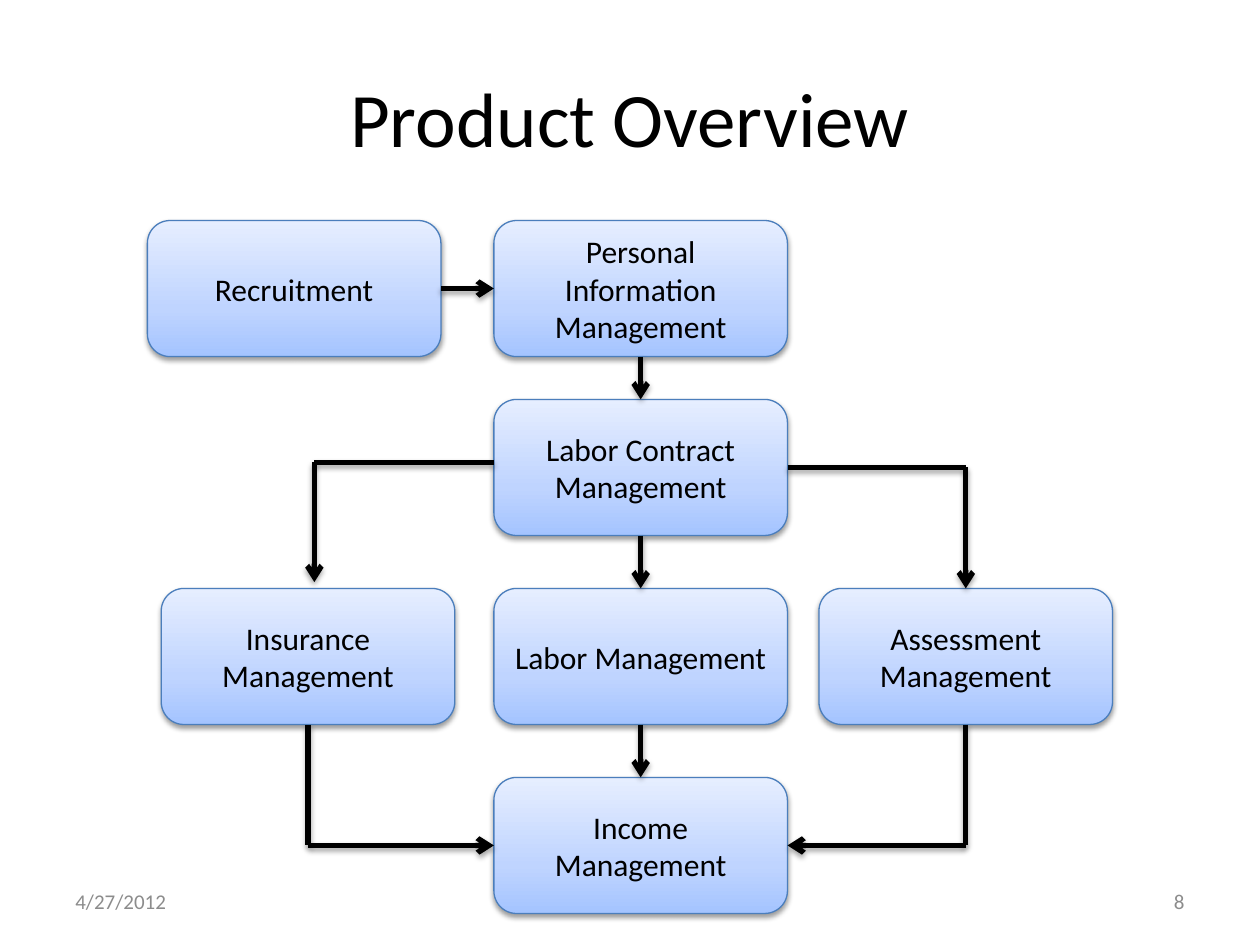
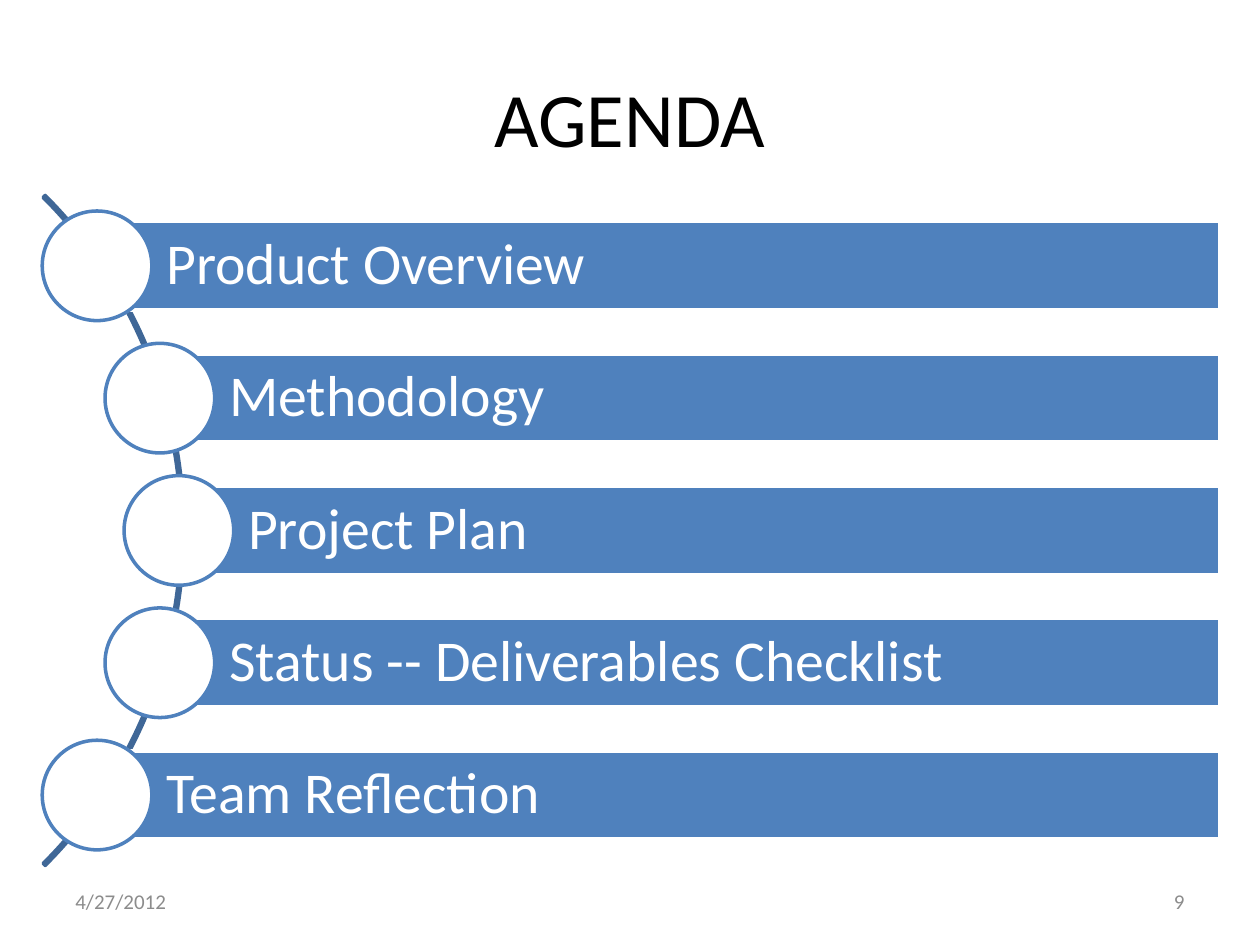
"""Builds the product overview flowchart and the agenda slide."""
from copy import deepcopy
from math import sqrt

from lxml.etree import SubElement
from pptx import Presentation
from pptx.dml.color import RGBColor
from pptx.enum.shapes import MSO_CONNECTOR, MSO_SHAPE as Preset
from pptx.enum.text import MSO_ANCHOR as Anchor, PP_ALIGN as Align
from pptx.oxml.ns import qn
from pptx.util import Inches, Pt

FONT = "Calibri"
COLORS = {
    "black": "000000", "white": "FFFFFF", "footer": "8C8C8C",
    "box_edge": "4B7EBC", "bar": "4F81BD", "arc": "3F6797",
}
BOX_GRADIENT = [(0, "A4C4FF"), (0.35, "BFD4FF"), (1, "E6EEFF")]

DATE = "4/27/2012"
OVERVIEW = {"title": "Product Overview", "number": "8"}
AGENDA = {"title": "AGENDA", "number": "9"}

STEP_SIZE = (2.33, 1.08)
STEPS = {
    "Recruitment": (1.17, 1.75),
    "Personal Information Management": (3.92, 1.75),
    "Labor Contract Management": (3.92, 3.17),
    "Insurance Management": (1.28, 4.67),
    "Labor Management": (3.92, 4.67),
    "Assessment Management": (6.5, 4.67),
    "Income Management": (3.92, 6.17),
}
FLOWS = [
    ("Recruitment", "right", "Personal Information Management", "left"),
    ("Personal Information Management", "bottom", "Labor Contract Management", "top"),
    ("Labor Contract Management", "bottom", "Labor Management", "top"),
    ("Labor Contract Management", "right", "Assessment Management", "top"),
    ("Labor Contract Management", "left", "Insurance Management", "top"),
    ("Labor Management", "bottom", "Income Management", "top"),
    ("Insurance Management", "bottom", "Income Management", "left"),
    ("Assessment Management", "bottom", "Income Management", "right"),
]
NUDGES = {
    ("Labor Contract Management", "left"): (0, -0.04),
    ("Insurance Management", "top"): (0.05, -0.05),
}
SIDES = {"left": (0, 0.5), "right": (1, 0.5), "top": (0.5, 0), "bottom": (0.5, 1)}

TOPICS = ["Product Overview", "Methodology", "Project Plan",
          "Status -- Deliverables Checklist", "Team Reflection"]
ARC_CENTER = (-2.3, 4.21)
ARC_RADIUS = 3.76
CIRCLE_TRACK = 3.72
CIRCLE = 0.87
TOPIC_PITCH = 1.05
BAR_HEIGHT = 0.7
BAR_RIGHT = 9.68


def rgb(name):
    return RGBColor.from_string(COLORS[name])


def write(frame, words, size, color, align=Align.LEFT):
    frame.word_wrap = True
    frame.vertical_anchor = Anchor.MIDDLE
    paragraph = frame.paragraphs[0]
    paragraph.alignment = align
    run = paragraph.add_run()
    run.text = words
    run.font.size = Pt(size)
    run.font.name = FONT
    run.font.color.rgb = rgb(color)
    return paragraph


def start_slide(deck, heading):
    slide = deck.slides.add_slide(deck.slide_layouts[5])
    title = slide.shapes.title
    title.left, title.top, title.width, title.height = map(Inches, (0.5, 0.3, 9, 1.25))
    write(title.text_frame, heading["title"], 44, "black", Align.CENTER)
    for words, left, align in ((DATE, 0.5, Align.LEFT),
                               (heading["number"], 7.17, Align.RIGHT)):
        footer = slide.shapes.add_textbox(*map(Inches, (left, 6.95, 2.33, 0.4)))
        write(footer.text_frame, words, 12, "footer", align)
    return slide


def add_preset(slide, preset, area, line, width, fill=None):
    part = slide.shapes.add_shape(preset, *map(Inches, area))
    part.line.color.rgb = rgb(line)
    part.line.width = Pt(width)
    if fill:
        part.fill.solid()
        part.fill.fore_color.rgb = rgb(fill)
    else:
        part.fill.background()
    part.shadow.inherit = False
    return part


def cast_shadow(part, opacity, distance):
    properties = part._element.spPr
    effects = properties.find(qn("a:effectLst"))
    if effects is None:
        effects = SubElement(properties, qn("a:effectLst"))
    shadow = SubElement(effects, qn("a:outerShdw"), blurRad=str(Pt(3.1)),
                        dist=str(Pt(distance)), dir="5400000", rotWithShape="0")
    tone = SubElement(shadow, qn("a:srgbClr"), val=COLORS["black"])
    SubElement(tone, qn("a:alpha"), val=str(opacity * 1000))


def add_step(slide, words, corner):
    step = add_preset(slide, Preset.ROUNDED_RECTANGLE, corner + STEP_SIZE, "box_edge", 0.75)
    step.fill.gradient()
    step.fill.gradient_angle = 90
    stops = step._element.spPr.find(qn("a:gradFill")).find(qn("a:gsLst"))
    stops.append(deepcopy(stops[-1]))
    for stop, (position, color) in zip(step.fill.gradient_stops, BOX_GRADIENT):
        stop.position = position
        stop.color.rgb = RGBColor.from_string(color)
    cast_shadow(step, 38, 1.6)
    write(step.text_frame, words, 18, "black", Align.CENTER)


def port(step, side):
    shift = NUDGES.get((step, side), (0, 0))
    return tuple(corner + size * share + move for corner, size, share, move
                 in zip(STEPS[step], STEP_SIZE, SIDES[side], shift))


def add_flow(slide, source, exit_side, target, entry_side):
    start, end = port(source, exit_side), port(target, entry_side)
    route = [start, end]
    if (exit_side in ("left", "right")) != (entry_side in ("left", "right")):
        sideways = exit_side in ("left", "right")
        route.insert(1, (end[0], start[1]) if sideways else (start[0], end[1]))
    for begin, finish in zip(route, route[1:]):
        leg = slide.shapes.add_connector(MSO_CONNECTOR.STRAIGHT,
                                         *map(Inches, begin + finish))
        leg.line.color.rgb = rgb("black")
        leg.line.width = Pt(3)
        if finish == end:
            SubElement(leg._element.spPr.find(qn("a:ln")), qn("a:tailEnd"), type="arrow")
        cast_shadow(leg, 35, 1.8)


def build_overview(deck):
    slide = start_slide(deck, OVERVIEW)
    for words, corner in STEPS.items():
        add_step(slide, words, corner)
    for flow in FLOWS:
        add_flow(slide, *flow)


def build_agenda(deck):
    slide = start_slide(deck, AGENDA)
    center_x, center_y = ARC_CENTER
    arc = add_preset(slide, Preset.BLOCK_ARC,
                     (center_x - ARC_RADIUS, center_y - ARC_RADIUS,
                      2 * ARC_RADIUS, 2 * ARC_RADIUS), "arc", 2)
    for index, value in enumerate((189, 27, 0.003)):
        arc.adjustments[index] = value
    for index, topic in enumerate(TOPICS):
        offset = (index - (len(TOPICS) - 1) / 2) * TOPIC_PITCH
        x = center_x + sqrt(CIRCLE_TRACK ** 2 - offset ** 2)
        y = center_y + offset
        bar = add_preset(slide, Preset.RECTANGLE,
                         (x, y - BAR_HEIGHT / 2, BAR_RIGHT - x, BAR_HEIGHT),
                         "white", 2, "bar")
        frame = bar.text_frame
        frame.margin_left = Inches(0.55)
        frame.margin_top = frame.margin_right = frame.margin_bottom = Inches(0.09)
        write(frame, topic, 33, "white").line_spacing = 0.9
        add_preset(slide, Preset.OVAL, (x - CIRCLE / 2, y - CIRCLE / 2, CIRCLE, CIRCLE),
                   "bar", 2, "white")


def main():
    deck = Presentation()
    deck.slide_width, deck.slide_height = Inches(10), Inches(7.5)
    build_overview(deck)
    build_agenda(deck)
    deck.save("out.pptx")


if __name__ == "__main__":
    main()
